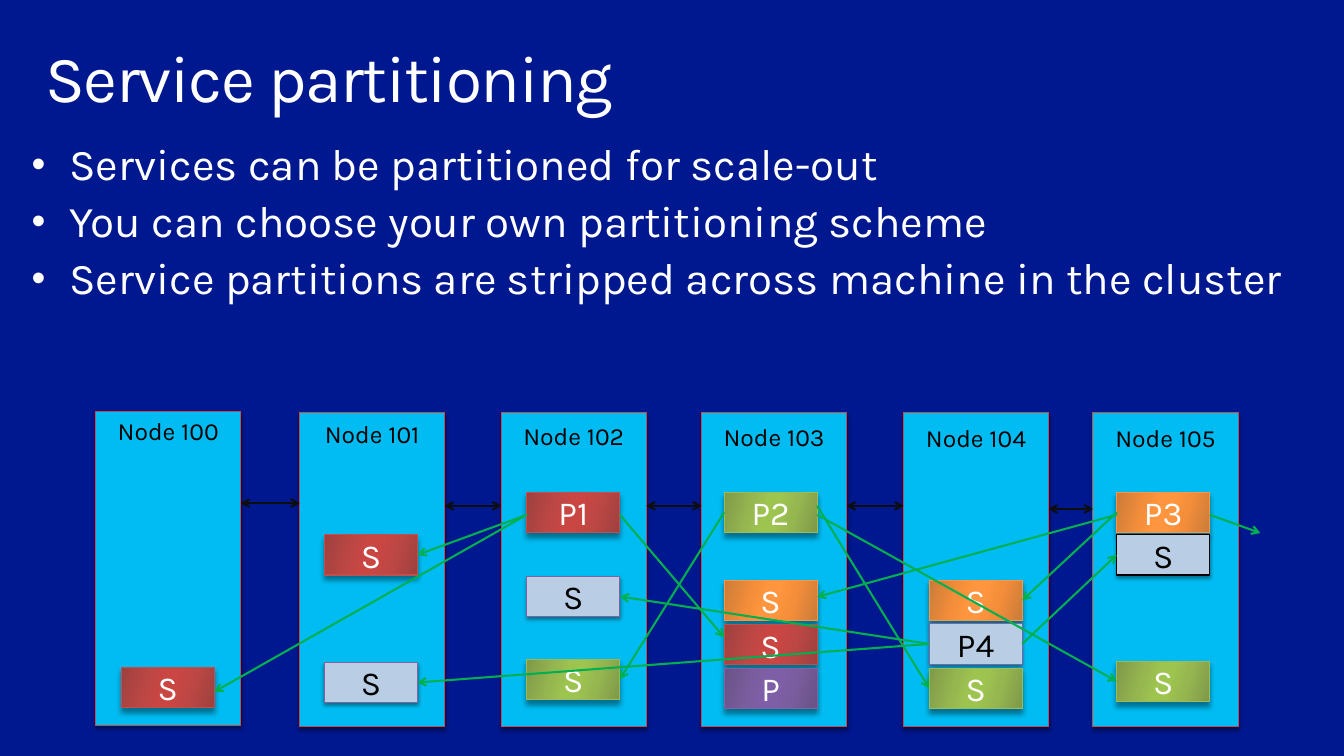
from collections import namedtuple
from dataclasses import dataclass

from pptx import Presentation
from pptx import util as u
from pptx.dml.color import RGBColor
from pptx.enum import shapes, text
from pptx.oxml import ns
from pptx.oxml import xmlchemy as xml

Box = namedtuple("Box", "left top width height")
Tone = namedtuple("Tone", "line stops ink")
Node = namedtuple("Node", "name left top label_top inset replicas")
Link = namedtuple("Link", "source source_side target target_side start_shift end_shift")


@dataclass(frozen=True)
class Theme:
    """Colours, font and type sizes of the slide."""

    background: str = "00188F"
    node: str = "00BCF2"
    node_line: str = "C0504D"
    neighbour: str = "0D0D0D"
    replication: str = "00B050"
    light: str = "FFFFFF"
    dark: str = "000000"
    font: str = "Karla"
    title: float = 48
    body: float = 32
    label: float = 18
    replica: float = 24.5


THEME = Theme()
TONES = {
    "red": Tone("C0504D", ("9D413F", "BD4744", "CA4643"), THEME.light),
    "green": Tone("9BBB59", ("7F9949", "96B750", "9EC450"), THEME.light),
    "orange": Tone("F79646", ("CA7B39", "F48E3A", "FF953E"), THEME.light),
    "purple": Tone("8064A2", ("695285", "7A5D9E", "7F5EA8"), THEME.light),
    "pale": Tone("8064A2", ("B9CDE5",), THEME.dark),
    "pale outlined": Tone("000000", ("B9CDE5",), THEME.dark),
}
BULLETS = (
    "Services can be partitioned for scale-out",
    "You can choose your own partitioning scheme",
    "Service partitions are stripped across machine in the cluster",
)
NODE_WIDTH, NODE_HEIGHT = 3.73, 8.08
REPLICA_WIDTH, REPLICA_HEIGHT = 2.39, 1.04
NODES = (
    Node("Node 100", 0, 0, 0, 0.66, (("S", "red", 6.58),)),
    Node("Node 101", 5.24, 0.03, 0.08, 0.64, (("S", "red", 3.17), ("S", "pale", 6.45))),
    Node("Node 102", 10.42, 0.03, 0.13, 0.66,
         (("P1", "red", 2.08), ("S", "pale", 4.24), ("S", "green", 6.37))),
    Node("Node 103", 15.57, 0.03, 0.15, 0.58,
         (("P2", "green", 2.08), ("S", "orange", 4.34), ("S", "red", 5.48),
          ("P", "purple", 6.6))),
    Node("Node 104", 20.76, 0.03, 0.18, 0.66,
         (("S", "orange", 4.34), ("P4", "pale", 5.46), ("S", "green", 6.6))),
    Node("Node 105", 25.63, 0.03, 0.18, 0.61,
         (("P3", "orange", 2.08), ("S", "pale outlined", 3.17), ("S", "green", 6.42))),
)
NEIGHBOUR_TOPS = (2.36, 2.43, 2.43, 2.43, 2.51)
P1, P2, P3, P4 = (2, 0), (3, 0), (5, 0), (4, 1)
LINKS = (
    Link(P1, "left", (1, 0), "right", 0.06, 0),
    Link(P1, "right", (3, 2), "left", 0.06, -0.19),
    Link(P3, "left", (3, 1), "right", 0.06, -0.09),
    Link(P3, "left", (4, 0), "right", 0, 0),
    Link(P2, "left", (2, 2), "right", 0, 0),
    Link(P2, "right", (4, 2), "left", -0.17, 0),
    Link(P2, "right", (5, 2), "left", 0.06, 0),
    Link(P1, "left", (0, 0), "right", 0.06, 0.11),
    Link(P4, "left", (2, 1), "right", 0, 0),
    Link(P4, "left", (1, 1), "right", 0, 0),
    Link(P4, "right", (5, 1), "left", 0, 0),
)
OUTGOING = (1.3, 0.47)


def lengths(box):
    """Turn a box in centimetres into slide lengths."""
    return [u.Cm(value) for value in box]


def add_element(parent, tag, **attributes):
    """Append a drawing element to its parent."""
    element = parent.makeelement(ns.qn(tag), attributes)
    parent.append(element)
    return element


def add_text(paragraph, words, size, color):
    """Add one formatted run to a paragraph."""
    run = paragraph.add_run()
    run.text = words
    run.font.name = THEME.font
    run.font.size = u.Pt(size)
    run.font.color.rgb = RGBColor.from_string(color)
    return run


def fill_placeholder(placeholder, box, anchor):
    """Place a placeholder and return its text frame."""
    placeholder.left, placeholder.top, placeholder.width, placeholder.height = lengths(box)
    frame = placeholder.text_frame
    frame.word_wrap = True
    frame.auto_size = text.MSO_AUTO_SIZE.NONE
    frame.vertical_anchor = anchor
    return frame


def add_title(slide, box):
    """Write the slide title."""
    frame = fill_placeholder(slide.shapes.title, box, text.MSO_ANCHOR.MIDDLE)
    frame.margin_left = frame.margin_right = u.Cm(0.41)
    frame.margin_top = frame.margin_bottom = u.Cm(0.25)
    paragraph = frame.paragraphs[0]
    paragraph.alignment = text.PP_ALIGN.LEFT
    paragraph.line_spacing = 0.9
    run = add_text(paragraph, "Service partitioning", THEME.title, THEME.light)
    run._r.get_or_add_rPr().set("spc", "-100")


def add_bullets(slide, box):
    """Write the bullet list."""
    frame = fill_placeholder(slide.placeholders[1], box, text.MSO_ANCHOR.TOP)
    for index, words in enumerate(BULLETS):
        paragraph = frame.add_paragraph() if index else frame.paragraphs[0]
        paragraph.line_spacing = 0.9
        paragraph.space_before = u.Pt(7)
        properties = paragraph._p.get_or_add_pPr()
        properties.set("marL", str(u.Cm(0.97)))
        properties.set("indent", str(u.Cm(-0.97)))
        add_element(properties, "a:buSzPct", val="90000")
        add_element(properties, "a:buFont", typeface="Arial")
        add_element(properties, "a:buChar", char="•")
        add_text(paragraph, words, THEME.body, THEME.light)


def add_block(slide, box, stops, line):
    """Add a shadowed rectangle with a plain or banded fill."""
    shape = slide.shapes.add_shape(shapes.MSO_SHAPE.RECTANGLE, *lengths(box))
    if len(stops) == 1:
        shape.fill.solid()
        shape.fill.fore_color.rgb = RGBColor.from_string(stops[0])
    else:
        shape.fill.gradient()
        shape.fill.gradient_angle = 344
        stop_list = shape._element.spPr.find(".//" + ns.qn("a:gsLst"))
        stop_list.clear()
        for position, color in zip((0, 30, 45, 55, 73, 100), stops + stops[::-1]):
            stop = add_element(stop_list, "a:gs", pos=str(position * 1000))
            add_element(stop, "a:srgbClr", val=color)
    shape.line.color.rgb = RGBColor.from_string(line)
    shape.line.width = u.Pt(0.75)
    shape.shadow.inherit = False
    effects = shape._element.spPr.find(ns.qn("a:effectLst"))
    blur, distance = (3, 2) if len(stops) == 1 else (4, 3.4)
    shadow = add_element(effects, "a:outerShdw", blurRad=str(u.Pt(blur)),
                         dist=str(u.Pt(distance)), dir="5400000", rotWithShape="0")
    add_element(add_element(shadow, "a:srgbClr", val=THEME.dark), "a:alpha", val="40000")
    return shape


def add_arrow(slide, start, end, color, both_ends=False):
    """Draw a straight arrow between two points."""
    connector = slide.shapes.add_connector(
        shapes.MSO_CONNECTOR.STRAIGHT, *lengths((*start, *end)))
    connector.line.color.rgb = RGBColor.from_string(color)
    connector.line.width = u.Pt(1.5)
    outline = connector.line._get_or_add_ln()
    for tag in ("a:headEnd", "a:tailEnd") if both_ends else ("a:tailEnd",):
        add_element(outline, tag, type="arrow")
    add_element(connector._element.spPr, "a:effectLst")


def add_node(slide, box, node):
    """Draw one node with its label and replicas and return the replica boxes."""
    add_block(slide, box, (THEME.node,), THEME.node_line)
    origin = box.top - node.top
    label = slide.shapes.add_textbox(
        *lengths((box.left, origin + node.label_top, box.width, 1.02)))
    label.text_frame.word_wrap = True
    paragraph = label.text_frame.paragraphs[0]
    paragraph.alignment = text.PP_ALIGN.CENTER
    add_text(paragraph, node.name, THEME.label, THEME.dark)
    replica_boxes = []
    for words, tone_name, top in node.replicas:
        tone = TONES[tone_name]
        replica_box = Box(box.left + node.inset, origin + top, REPLICA_WIDTH, REPLICA_HEIGHT)
        shape = add_block(slide, replica_box, tone.stops, tone.line)
        shape.text_frame.vertical_anchor = text.MSO_ANCHOR.MIDDLE
        paragraph = shape.text_frame.paragraphs[0]
        paragraph.alignment = text.PP_ALIGN.CENTER
        add_text(paragraph, words, THEME.replica, tone.ink)
        replica_boxes.append(replica_box)
    return replica_boxes


def side_point(box, side, shift):
    """Return the middle of a box side, shifted vertically."""
    x = box.left + (box.width if side == "right" else 0)
    return x, box.top + box.height / 2 + shift


def add_cluster(slide, box):
    """Draw the nodes, their neighbour arrows and the replication arrows."""
    replicas = [
        add_node(slide, Box(box.left + node.left, box.top + node.top, NODE_WIDTH, NODE_HEIGHT),
                 node)
        for node in NODES
    ]
    for node, following, top in zip(NODES, NODES[1:], NEIGHBOUR_TOPS):
        y = box.top + top
        add_arrow(slide, (box.left + following.left, y),
                  (box.left + node.left + NODE_WIDTH, y), THEME.neighbour, True)
    for link in LINKS:
        source = replicas[link.source[0]][link.source[1]]
        target = replicas[link.target[0]][link.target[1]]
        add_arrow(slide, side_point(source, link.source_side, link.start_shift),
                  side_point(target, link.target_side, link.end_shift), THEME.replication)
    x, y = side_point(replicas[P3[0]][P3[1]], "right", 0.06)
    add_arrow(slide, (x, y), (x + OUTGOING[0], y + OUTGOING[1]), THEME.replication)


def main():
    """Build and save the presentation."""
    presentation = Presentation()
    presentation.slide_width, presentation.slide_height = u.Cm(34.54), u.Cm(19.43)
    slide = presentation.slides.add_slide(presentation.slide_layouts[1])
    slide.background.fill.solid()
    slide.background.fill.fore_color.rgb = RGBColor.from_string(THEME.background)
    add_title(slide, Box(0.76, 0.81, 33.02, 2.54))
    add_bullets(slide, Box(0.56, 3.53, 33.98, 7.67))
    add_cluster(slide, Box(2.46, 10.57, 29.36, 8.11))
    presentation.save("out.pptx")


if __name__ == "__main__":
    main()
